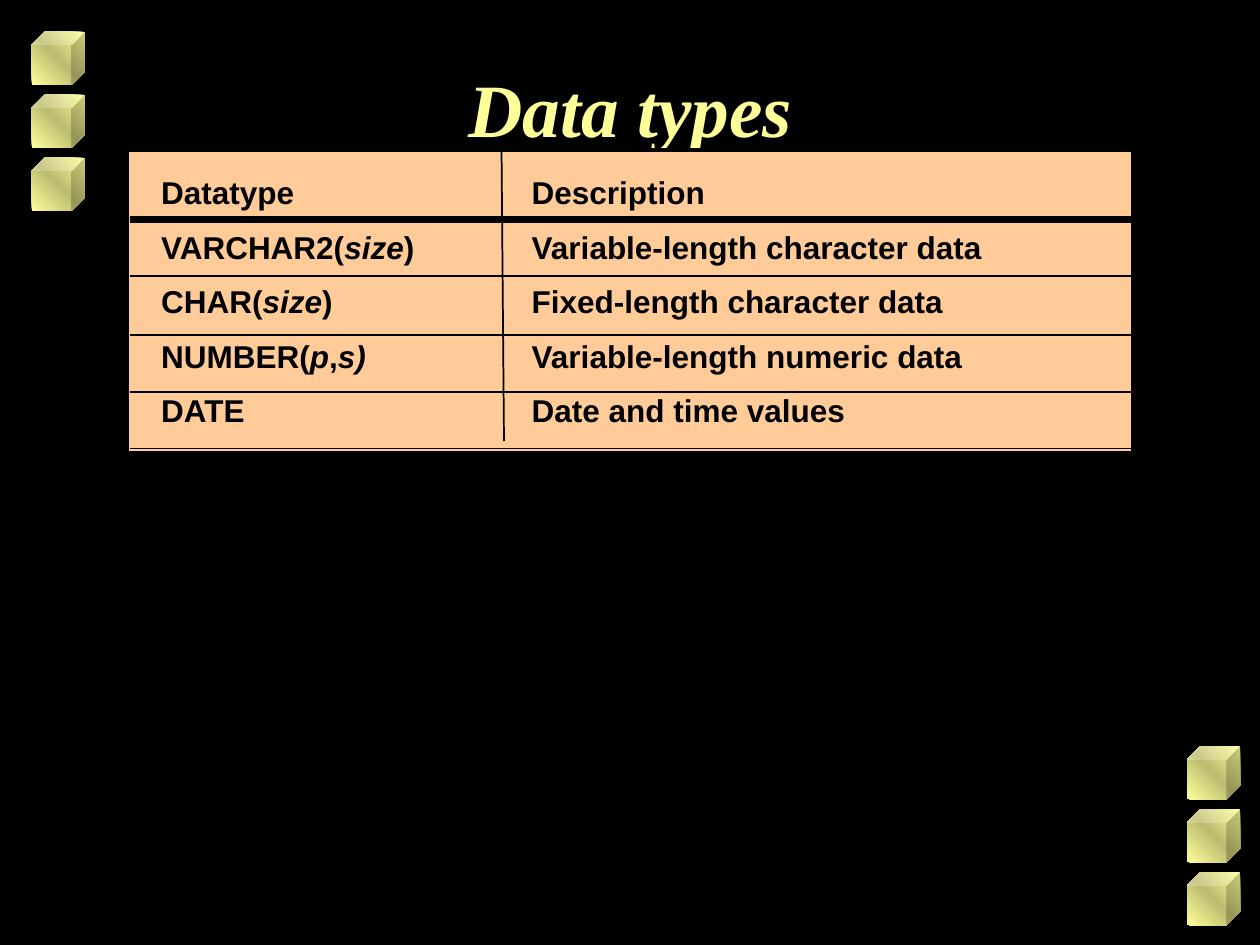
from lxml.etree import SubElement
from pptx import Presentation
from pptx.dml.color import RGBColor
from pptx.enum.shapes import MSO_CONNECTOR, MSO_SHAPE
from pptx.enum.text import MSO_ANCHOR, PP_ALIGN
from pptx.oxml import parse_xml
from pptx.oxml.ns import nsdecls, qn
from pptx.util import Cm, Pt

BLACK = RGBColor(0x00, 0x00, 0x00)
YELLOW = RGBColor(0xFF, 0xFF, 0x99)
OLIVE = RGBColor(0xBC, 0xBC, 0x71)
PEACH = RGBColor(0xFF, 0xCC, 0x99)

TITLE = "Data types"
ROWS = [
    ([("Datatype", False)], "Description"),
    ([("VARCHAR2(", False), ("size", True), (")", False)], "Variable-length character data"),
    ([("CHAR(", False), ("size", True), (")", False)], "Fixed-length character data"),
    ([("NUMBER(", False), ("p", True), (",", False), ("s)", True)], "Variable-length numeric data"),
    ([("DATE", False)], "Date and time values"),
]

CUBE_SIZE, CUBE_STEP = 1.07, 1.27
CUBE_COLUMNS = [(0.64, 0.64), (23.93, 15.04)]
CUBES_PER_COLUMN = 3
PANEL = (2.57, 3.02, 20.27, 6.1)
RULE_LEFT, RULE_RIGHT = 2.62, 22.86
RULES = [(4.42, 4), (5.56, 1), (6.76, 1), (7.9, 1), (9.04, 1)]
DIVIDER = (10.16, 8.89, 10.11, 3.02)
TAB_STOP = Cm(7.47)


def add_text(paragraph, text, *, font, size, color, bold=True, italic=False):
    run = paragraph.add_run()
    run.text = text
    run.font.name = font
    run.font.size = Pt(size)
    run.font.color.rgb = color
    run.font.bold = bold
    run.font.italic = italic


def add_cube(slide, left, top):
    cube = slide.shapes.add_shape(
        MSO_SHAPE.CUBE, Cm(left), Cm(top), Cm(CUBE_SIZE), Cm(CUBE_SIZE))
    cube.shadow.inherit = False
    cube.line.fill.background()
    stops = "".join(
        f'<a:gs pos="{position}"><a:srgbClr val="{color}"/></a:gs>'
        for position, color in [(0, YELLOW), (50000, OLIVE), (100000, YELLOW)])
    gradient = parse_xml(
        f'<a:gradFill {nsdecls("a")} rotWithShape="1"><a:gsLst>{stops}</a:gsLst>'
        '<a:lin ang="18900000" scaled="1"/></a:gradFill>')
    cube._element.spPr.find(qn("a:prstGeom")).addnext(gradient)


def add_rule(slide, left, top, right, bottom, width=1):
    rule = slide.shapes.add_connector(
        MSO_CONNECTOR.STRAIGHT, Cm(left), Cm(top), Cm(right), Cm(bottom))
    rule.line.color.rgb = BLACK
    rule.line.width = Pt(width)
    SubElement(rule._element.spPr, qn("a:effectLst"))


def add_title(slide):
    title = slide.shapes.title
    title.left, title.top, title.width, title.height = Cm(2.57), Cm(0.94), Cm(20.27), Cm(2.44)
    title.text_frame.vertical_anchor = MSO_ANCHOR.MIDDLE
    paragraph = title.text_frame.paragraphs[0]
    paragraph.alignment = PP_ALIGN.CENTER
    add_text(paragraph, TITLE, font="Times New Roman", size=43, color=YELLOW, italic=True)


def add_panel(slide):
    panel = slide.shapes.add_shape(MSO_SHAPE.RECTANGLE, *map(Cm, PANEL))
    panel.shadow.inherit = False
    panel.fill.solid()
    panel.fill.fore_color.rgb = PEACH
    panel.line.color.rgb = BLACK
    panel.line.width = Pt(2)


def add_rows(slide):
    frame = slide.shapes.add_textbox(Cm(3), Cm(3.45), Cm(19.1), Cm(5.54)).text_frame
    frame.word_wrap = True
    for index, (datatype, description) in enumerate(ROWS):
        paragraph = frame.add_paragraph() if index else frame.paragraphs[0]
        paragraph.line_spacing = 0.9
        paragraph.space_before = Pt(11.7 if index else 0)
        tabs = SubElement(paragraph._p.get_or_add_pPr(), qn("a:tabLst"))
        SubElement(tabs, qn("a:tab"), pos=str(TAB_STOP), algn="l")
        for text, italic in datatype + [("\t" + description, False)]:
            add_text(paragraph, text, font="Arial", size=18, color=BLACK, italic=italic)


def main():
    presentation = Presentation()
    presentation.slide_width, presentation.slide_height = Cm(25.4), Cm(19.05)
    slide = presentation.slides.add_slide(presentation.slide_layouts[5])
    slide.background.fill.solid()
    slide.background.fill.fore_color.rgb = BLACK
    for left, top in CUBE_COLUMNS:
        for index in range(CUBES_PER_COLUMN):
            add_cube(slide, left, top + index * CUBE_STEP)
    add_panel(slide)
    add_title(slide)
    add_rows(slide)
    for height, width in RULES:
        add_rule(slide, RULE_LEFT, height, RULE_RIGHT, height, width)
    add_rule(slide, *DIVIDER)
    presentation.save("out.pptx")


if __name__ == "__main__":
    main()
